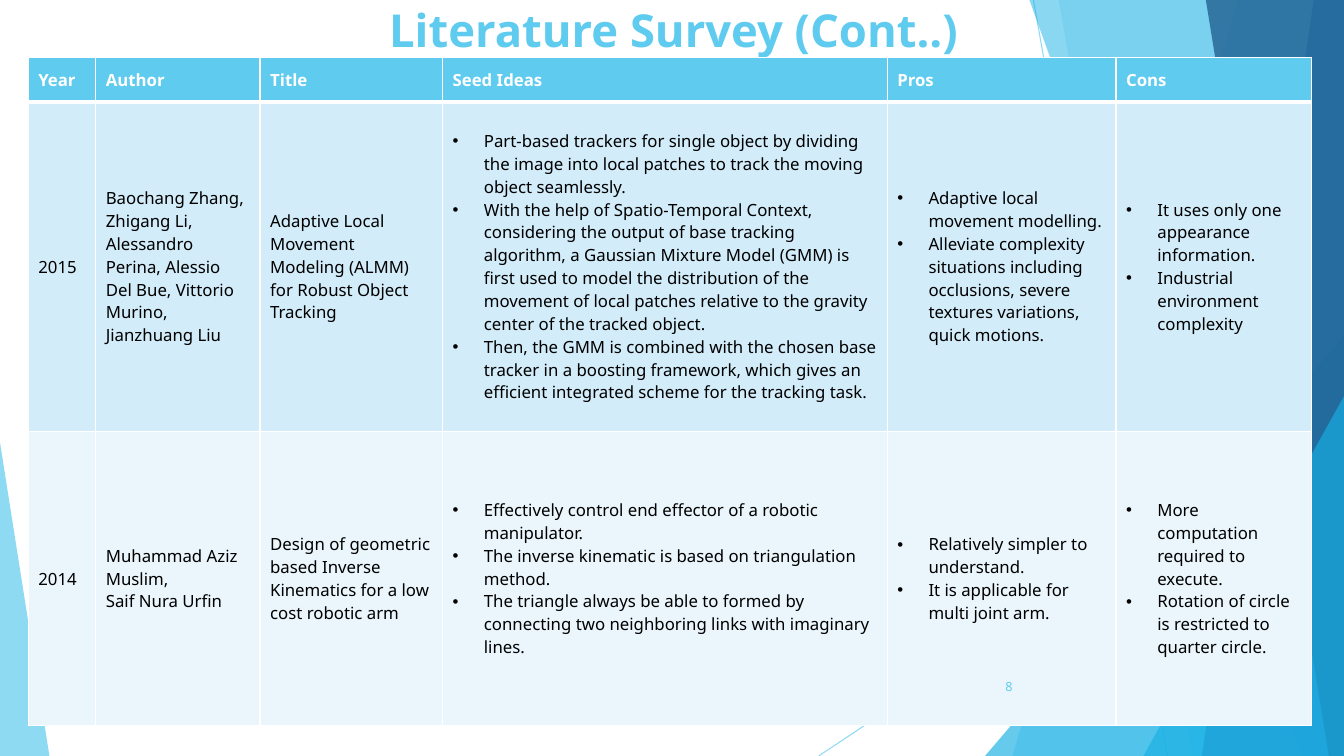
from lxml import etree
from pptx import Presentation
from pptx.dml.color import RGBColor
from pptx.enum.shapes import MSO_CONNECTOR, MSO_SHAPE
from pptx.enum.text import MSO_ANCHOR, PP_ALIGN
from pptx.oxml.ns import qn
from pptx.util import Inches, Pt

FONT = "Noto Sans"
SKY, AZURE, BLUE, NAVY = "5FCBEF", "17B0E4", "2E83C3", "226292"
WHITE, BLACK = "FFFFFF", "000000"
WIDTH, HEIGHT = 13.33, 7.5

TITLE = "Literature Survey (Cont..)"
PAGE_NUMBER = "8"
HEADINGS = ["Year", "Author", "Title", "Seed Ideas", "Pros", "Cons"]
PLAIN_COLUMNS = 3
PAPERS = [
    [
        ["2015"],
        ["Baochang Zhang, Zhigang Li, Alessandro Perina, Alessio Del Bue, "
         "Vittorio Murino, Jianzhuang Liu"],
        ["Adaptive Local Movement Modeling (ALMM) for Robust Object Tracking"],
        ["Part-based trackers for single object by dividing the image into local "
         "patches to track the moving object seamlessly.",
         "With the help of Spatio-Temporal Context, considering the output of base "
         "tracking algorithm, a Gaussian Mixture Model (GMM) is first used to model "
         "the distribution of the movement of local patches relative to the gravity "
         "center of the tracked object.",
         "Then, the GMM is combined with the chosen base tracker in a boosting "
         "framework, which gives an efficient integrated scheme for the tracking task."],
        ["Adaptive local movement modelling.",
         "Alleviate complexity situations including occlusions, severe textures "
         "variations, quick motions."],
        ["It uses only one appearance information.",
         "Industrial environment complexity"],
    ],
    [
        ["2014"],
        ["Muhammad Aziz Muslim,", "Saif Nura Urfin"],
        ["Design of geometric based Inverse Kinematics for a low cost robotic arm"],
        ["Effectively control end effector of a robotic manipulator.",
         "The inverse kinematic is based on triangulation method.",
         "The triangle always be able to formed by connecting two neighboring links "
         "with imaginary lines."],
        ["Relatively simpler to understand.",
         "It is applicable for multi joint arm."],
        ["More computation required to execute.",
         "Rotation of circle is restricted to quarter circle."],
    ],
]
COLUMN_WIDTHS = [0.67, 1.63, 1.81, 4.41, 2.27, 1.94]
ROW_HEIGHTS = [0.44, 3.27, 2.92]
ROW_FILLS = [SKY, "D2ECF9", "EAF6FC"]

RAYS = [((10.25, 0), (11.58, HEIGHT)), ((WIDTH, 4.03), (8.12, HEIGHT))]
BANDS = "band"
FACETS = [
    (BANDS, (12.28, 10.04), SKY, 36),
    (BANDS, (10.5, 11.83), SKY, 20),
    ("triangle", (9.77, 3.33, 3.56, 1), AZURE, 66),
    (BANDS, (10.21, 12.91), AZURE, 50),
    (BANDS, (13.03, 11.92), BLUE, 70),
    (BANDS, (11.96, 13.18), NAVY, 80),
    ("triangle", (11.34, 3.93, 1.99, 1), AZURE, 66),
    ("triangle", (0, 4.39, 0.49, 0), SKY, 70),
]


def paint(fill, color, opacity=100):
    fill.solid()
    fill.fore_color.rgb = RGBColor.from_string(color)
    if opacity < 100:
        tint = fill._xPr.find(qn("a:solidFill"))[0]
        etree.SubElement(tint, qn("a:alpha"), val=str(opacity * 1000))


def write(para, text, size, color, bold=False):
    span = para.add_run()
    span.text = text
    span.font.name = FONT
    span.font.size = Pt(size)
    span.font.bold = bold
    paint(span.font.fill, color)


def add_ray(page, start, end):
    ray = page.shapes.add_connector(
        MSO_CONNECTOR.STRAIGHT, *map(Inches, start + end))
    ray.line.width = Pt(0.75)
    paint(ray.line.fill, SKY, 70)
    etree.SubElement(ray._element.spPr, qn("a:effectLst"))


def add_facet(page, kind, place, color, opacity):
    if kind == BANDS:
        top_x, bottom_x = place
        outline = page.shapes.build_freeform(
            Inches(top_x), 0, scale=1.0)
        corners = [(WIDTH, 0), (WIDTH, HEIGHT), (bottom_x, HEIGHT)]
        outline.add_line_segments(
            [(Inches(x), Inches(y)) for x, y in corners], close=True)
        facet = outline.convert_to_shape()
    else:
        left, top, width, apex = place
        facet = page.shapes.add_shape(
            MSO_SHAPE.ISOSCELES_TRIANGLE,
            *map(Inches, (left, top, width, HEIGHT - top)))
        facet.adjustments[0] = apex
    facet.shadow.inherit = False
    facet.line.fill.background()
    paint(facet.fill, color, opacity)


def add_bullet(para):
    props = para._p.get_or_add_pPr()
    props.set("marL", str(Inches(0.31)))
    props.set("indent", str(-Inches(0.31)))
    etree.SubElement(props, qn("a:buFont"), typeface="Arial")
    etree.SubElement(props, qn("a:buChar"), char="•")


def add_borders(cell, row):
    props = cell._tc.get_or_add_tcPr()
    widths = {"L": 1, "R": 1, "T": 3 if row == 1 else 1, "B": 3 if row == 0 else 1}
    for side, points in widths.items():
        border = etree.SubElement(props, qn("a:ln" + side), w=str(Pt(points)))
        solid = etree.SubElement(border, qn("a:solidFill"))
        etree.SubElement(solid, qn("a:srgbClr"), val=WHITE)


def fill_cell(cell, lines, row, column):
    add_borders(cell, row)
    paint(cell.fill, ROW_FILLS[row])
    cell.vertical_anchor = MSO_ANCHOR.MIDDLE
    header = row == 0
    frame = cell.text_frame
    for index, line in enumerate(lines):
        para = frame.add_paragraph() if index else frame.paragraphs[0]
        if not header and column >= PLAIN_COLUMNS:
            add_bullet(para)
        write(para, line, 12, WHITE if header else BLACK, header)


deck = Presentation()
deck.slide_width, deck.slide_height = Inches(WIDTH), Inches(HEIGHT)
page = deck.slides.add_slide(deck.slide_layouts[5])
paint(page.background.fill, WHITE)

for start, end in RAYS:
    add_ray(page, start, end)
for facet in FACETS:
    add_facet(page, *facet)

title = page.shapes.title
title.element.getparent().append(title.element)
title.left, title.top, title.width, title.height = map(Inches, (0.93, 0, 11.5, 0.57))
frame = title.text_frame
frame.word_wrap = True
frame.vertical_anchor = MSO_ANCHOR.TOP
frame.margin_top, frame.margin_bottom = Inches(0.02), 0
frame.paragraphs[0].alignment = PP_ALIGN.CENTER
write(frame.paragraphs[0], TITLE, 32.4, SKY, True)

rows = [[[heading] for heading in HEADINGS]] + PAPERS
survey = page.shapes.add_table(
    len(rows), len(HEADINGS), Inches(0.28), Inches(0.57),
    Inches(sum(COLUMN_WIDTHS)), Inches(sum(ROW_HEIGHTS))).table
for column, width in enumerate(COLUMN_WIDTHS):
    survey.columns[column].width = Inches(width)
for row, cells in enumerate(rows):
    survey.rows[row].height = Inches(ROW_HEIGHTS[row])
    for column, lines in enumerate(cells):
        fill_cell(survey.cell(row, column), lines, row, column)

number = page.shapes.add_textbox(*map(Inches, (9.39, 6.61, 0.75, 0.4))).text_frame
number.word_wrap = True
number.vertical_anchor = MSO_ANCHOR.MIDDLE
number.paragraphs[0].alignment = PP_ALIGN.RIGHT
write(number.paragraphs[0], PAGE_NUMBER, 9, SKY)

deck.save("out.pptx")
